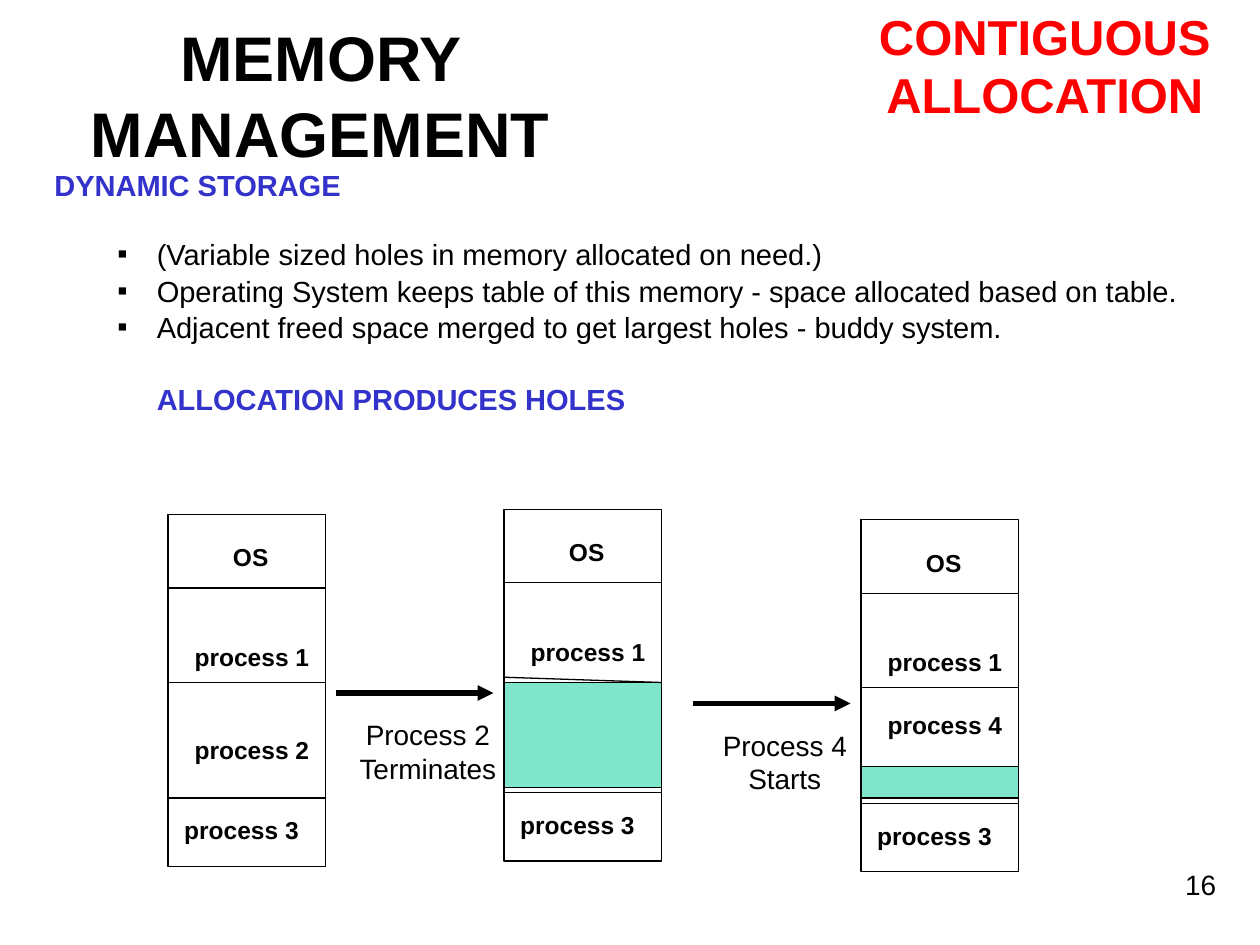
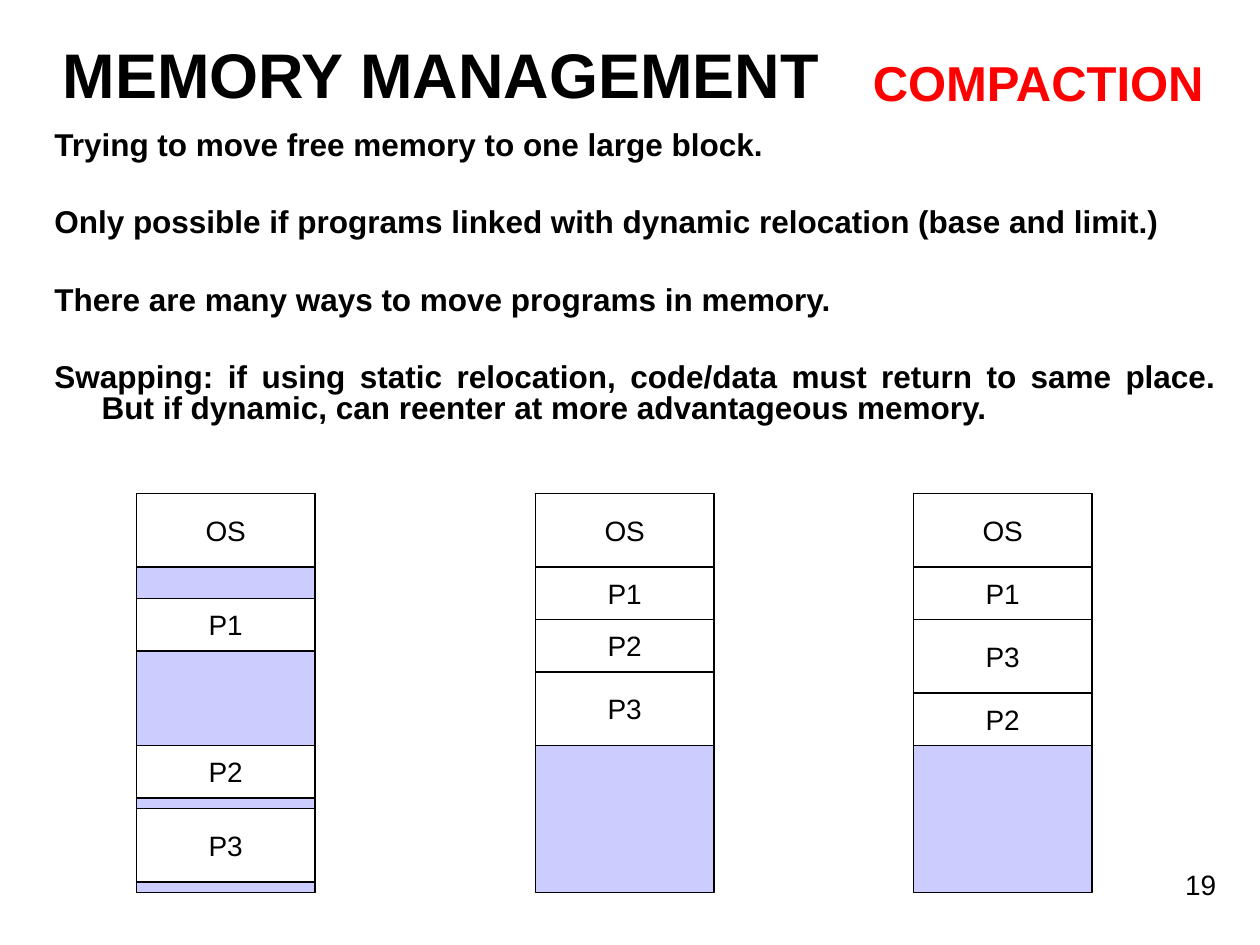
from lxml.etree import SubElement
from pptx import Presentation
from pptx.dml.color import RGBColor
from pptx.enum.shapes import MSO_CONNECTOR, MSO_SHAPE
from pptx.enum.text import MSO_ANCHOR, PP_ALIGN
from pptx.oxml.ns import qn
from pptx.util import Pt

PX = 9525  # 96 px to the inch
FONT = "Arial"
COLORS = {
    "ink": "000000",
    "paper": "FFFFFF",
    "topic": "FF0000",
    "heading": "3333CC",
    "hole": "00CC99",
    "free": "CCCCFF",
}


def add_box(page, left, top, width, height, fill=None, opacity=100):
    """Add an outlined rectangle, or a plain text box when there is no fill."""
    place = [value * PX for value in (left, top, width, height)]
    if fill is None:
        return page.shapes.add_textbox(*place)
    box = page.shapes.add_shape(MSO_SHAPE.RECTANGLE, *place)
    box.shadow.inherit = False
    box.fill.solid()
    box.fill.fore_color.rgb = RGBColor.from_string(COLORS[fill])
    box.line.color.rgb = RGBColor.from_string(COLORS["ink"])
    box.line.width = Pt(0.75)
    if opacity < 100:
        color = box._element.spPr.find(qn("a:solidFill")).find(qn("a:srgbClr"))
        SubElement(color, qn("a:alpha"), val=str(opacity * 1000))
    return box


def write(box, text, size=16, color="ink", bold=False, align=PP_ALIGN.CENTER,
          anchor=MSO_ANCHOR.MIDDLE, wrap=True, before=0, spacing=None,
          margin=0, hang=0, bullet=None):
    """Add one paragraph for each line of the text."""
    frame = box.text_frame
    frame.word_wrap = wrap
    frame.vertical_anchor = anchor
    for line in text.split("\n"):
        para = frame.paragraphs[0]
        if para.runs:
            para = frame.add_paragraph()
        para.alignment = align
        para.space_before = Pt(before)
        if spacing:
            para.line_spacing = spacing
        properties = para._p.get_or_add_pPr()
        properties.set("marL", str(margin * PX))
        properties.set("indent", str(-hang * PX))
        if bullet:
            SubElement(properties, qn("a:buFont"), typeface=FONT)
            SubElement(properties, qn("a:buChar"), char=bullet)
        else:
            SubElement(properties, qn("a:buNone"))
        span = para.add_run()
        span.text = line
        span.font.name = FONT
        span.font.size = Pt(size)
        span.font.bold = bold
        span.font.color.rgb = RGBColor.from_string(COLORS[color])


deck = Presentation()
deck.slide_width = 960 * PX
deck.slide_height = 720 * PX

# Title, topic and page number of every page
pages = []
for number, title_place, topic, topic_place in [
    ("16", (0, 16, 488, 112), "CONTIGUOUS\nALLOCATION", (660, 0, 272, 100)),
    ("19", (0, 16, 672, 80), "COMPACTION", (654, 35, 274, 55)),
]:
    page = deck.slides.add_slide(deck.slide_layouts[6])
    write(add_box(page, *title_place), "MEMORY MANAGEMENT", size=36, bold=True)
    write(add_box(page, *topic_place), topic, size=28, color="topic", bold=True,
          anchor=MSO_ANCHOR.TOP, wrap=False)
    write(add_box(page, 736, 656, 200, 48), number, align=PP_ALIGN.RIGHT,
          anchor=MSO_ANCHOR.TOP)
    pages.append(page)
allocation_page, compaction_page = pages
body = {"align": PP_ALIGN.JUSTIFY, "anchor": MSO_ANCHOR.TOP, "spacing": 0.8}

# Contiguous allocation: dynamic storage
heading = {**body, "size": 16.6, "color": "heading", "bold": True}
storage = add_box(allocation_page, 32, 128, 904, 216)
write(storage, "DYNAMIC STORAGE", **heading)
for before, point in [
    (23.5, "(Variable sized holes in memory allocated on need.)"),
    (5, "Operating System keeps table of this memory - space allocated based on table."),
    (5, "Adjacent freed space merged to get largest holes - buddy system."),
]:
    write(storage, point, size=16.6, before=before, margin=78, hang=30, bullet="▪", **body)
write(storage, "ALLOCATION PRODUCES HOLES", before=25, margin=78, **heading)

# Memory before and after each event; offsets count from the column's top
COLUMN_WIDTH, COLUMN_HEIGHT = 120, 268
for left, top, slant, middle_label, hole, event in [
    (128, 392, 0, ("process 2", 163), None, None),
    (384, 388, 4, None, (132, 80), "Process 2\nTerminates"),
    (656, 396, 0, ("process 4", 140), (188, 24), "Process 4\nStarts"),
]:
    right = left + COLUMN_WIDTH
    add_box(allocation_page, left, top, COLUMN_WIDTH, COLUMN_HEIGHT, fill="paper")
    if hole:
        hole_offset, hole_height = hole
        add_box(allocation_page, left, top + hole_offset, COLUMN_WIDTH, hole_height,
                fill="hole", opacity=50)

    lines = [(left, 56, right, 56, 0.75), (left, 128, right, 128 + slant, 0.75),
             (left, 216, right, 216, 0.75)]
    if event:
        lines.append((left - 128, 140, left - 8, 140, 3))
        write(add_box(allocation_page, left - 121, top + 154, 126, 61), event,
              anchor=MSO_ANCHOR.TOP, wrap=False)
    for start_x, start_y, end_x, end_y, weight in lines:
        line = allocation_page.shapes.add_connector(
            MSO_CONNECTOR.STRAIGHT, start_x * PX, (top + start_y) * PX,
            end_x * PX, (top + end_y) * PX)
        line.line.color.rgb = RGBColor.from_string(COLORS["ink"])
        line.line.width = Pt(weight)
        if weight == 3:
            SubElement(line.line._get_or_add_ln(), qn("a:tailEnd"), type="triangle")
        SubElement(line._element.spPr, qn("a:effectLst"))

    labels = [("OS", 40, 16, 46), ("process 1", 8, 92, 112), ("process 3", 0, 224, 112)]
    if middle_label:
        name, offset = middle_label
        labels.append((name, 8, offset, 112))
    for name, shift, offset, width in labels:
        write(add_box(allocation_page, left + shift, top + offset, width, 33), name,
              size=14, bold=True, wrap=False)

# Compaction: rules
rules = add_box(compaction_page, 32, 96, 904, 232)
for position, rule in enumerate([
    "Trying to move free memory to one large block.",
    "Only possible if programs linked with dynamic relocation (base and limit.)",
    "There are many ways to move programs in memory.",
    "Swapping: if using static relocation, code/data must return to same place. "
    "But if dynamic, can reenter at more advantageous memory.",
]):
    write(rules, rule, size=18, bold=True, before=27 if position else 0,
          margin=36, hang=36, **body)

# Three memory layouts; each block comes with the free gap above it
BLOCK_HEIGHTS = {"OS": 56, "P1": 40, "P2": 40, "P3": 56}
MEMORY_TOP, MEMORY_WIDTH, MEMORY_HEIGHT = 376, 136, 304
for left, blocks in [
    (104, [("OS", 0), ("P1", 24), ("P2", 72), ("P3", 8)]),
    (408, [("OS", 0), ("P1", 0), ("P2", 0), ("P3", 0)]),
    (696, [("OS", 0), ("P1", 0), ("P3", 0), ("P2", 0)]),
]:
    add_box(compaction_page, left, MEMORY_TOP, MEMORY_WIDTH, MEMORY_HEIGHT, fill="free")
    top = MEMORY_TOP
    for name, gap in blocks:
        top += gap
        height = BLOCK_HEIGHTS[name]
        write(add_box(compaction_page, left, top, MEMORY_WIDTH, height, fill="paper"),
              name, wrap=False)
        top += height

deck.save("out.pptx")
